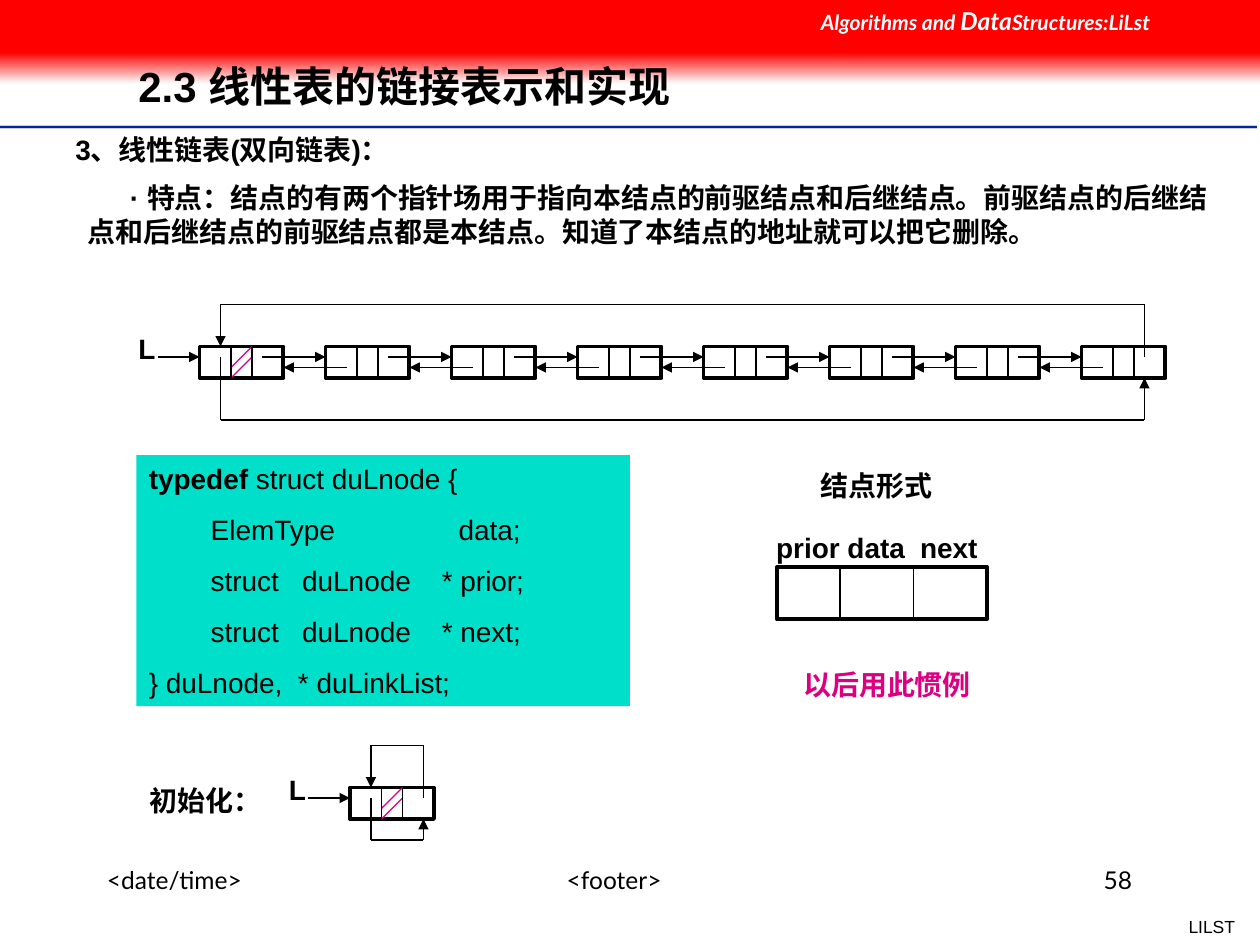
"""Build the slide on doubly linked lists."""
from dataclasses import dataclass

import lxml.etree
import pptx
import pptx.dml.color
import pptx.enum.shapes
import pptx.enum.text
import pptx.oxml.ns
import pptx.util

COLORS = {"black": "000000", "white": "FFFFFF", "red": "FF0000", "fade": "FEFEFE",
          "blue": "00279F", "grey": "CECECE", "pink": "DC0081", "teal": "00DFCA"}
ALIGN = pptx.enum.text.PP_ALIGN
ANCHOR = pptx.enum.text.MSO_ANCHOR
COLUMNS, ROWS = 120, 90

deck = pptx.Presentation()
deck.slide_width, deck.slide_height = pptx.util.Inches(10), pptx.util.Inches(7.5)
page = deck.slides.add_slide(deck.slide_layouts[6])


@dataclass(frozen=True)
class Span:
    text: str
    size: float | None = None
    bold: bool | None = None


@dataclass(frozen=True)
class Para:
    spans: tuple[Span, ...]
    tabs: tuple[float, ...] = ()
    margin: float = 0
    indent: float = 0


@dataclass(frozen=True)
class Label:
    area: tuple[float, float, float, float]
    paras: tuple[Para, ...]
    size: float = 16
    font: str = "Arial"
    color: str = "black"
    bold: bool = True
    italic: bool = False
    align: ALIGN = ALIGN.LEFT
    anchor: ANCHOR = ANCHOR.TOP
    wrap: bool = True
    line_spacing: float = 1.0


@dataclass(frozen=True)
class Node:
    column: float
    row: float
    hatched: bool = False


def across(columns: float) -> int:
    """Length of a number of grid columns."""
    return round(deck.slide_width * columns / COLUMNS)


def down(rows: float) -> int:
    """Length of a number of grid rows."""
    return round(deck.slide_height * rows / ROWS)


def color(name: str) -> pptx.dml.color.RGBColor:
    """Look up a named colour."""
    return pptx.dml.color.RGBColor.from_string(COLORS[name])


def place(left: float, top: float, width: float, height: float) -> tuple[int, int, int, int]:
    """Turn a grid area into lengths."""
    return across(left), down(top), across(width), down(height)


def plain(*lines: str) -> tuple[Para, ...]:
    """Make single-span paragraphs."""
    return tuple(Para((Span(line),)) for line in lines)


def draw_box(area: tuple[float, float, float, float], fill: str, outlined: bool = False):
    """Draw a rectangle with a flat fill."""
    box = page.shapes.add_shape(pptx.enum.shapes.MSO_SHAPE.RECTANGLE, *place(*area))
    box.shadow.inherit = False
    box.fill.solid()
    box.fill.fore_color.rgb = color(fill)
    if outlined:
        box.line.color.rgb = color("black")
        box.line.width = pptx.util.Pt(2.25)
    else:
        box.line.fill.background()
    return box


def draw_line(*points: tuple[float, float], ink: str = "black", width: float = 0.75,
              arrow: bool = False) -> None:
    """Join grid points by straight lines, with an arrowhead at the last."""
    for start, end in zip(points, points[1:]):
        line = page.shapes.add_connector(
            pptx.enum.shapes.MSO_CONNECTOR.STRAIGHT,
            across(start[0]), down(start[1]), across(end[0]), down(end[1]))
        line.line.color.rgb = color(ink)
        line.line.width = pptx.util.Pt(width)
        properties = line.element.spPr
        if arrow and end == points[-1]:
            outline = properties.find(pptx.oxml.ns.qn("a:ln"))
            lxml.etree.SubElement(outline, pptx.oxml.ns.qn("a:tailEnd"), type="triangle")
        lxml.etree.SubElement(properties, pptx.oxml.ns.qn("a:effectLst"))


def write(label: Label, box=None) -> None:
    """Write a label in a new text box or in a given shape."""
    box = box or page.shapes.add_textbox(*place(*label.area))
    frame = box.text_frame
    frame.word_wrap = label.wrap
    frame.vertical_anchor = label.anchor
    for index, item in enumerate(label.paras):
        para = frame.add_paragraph() if index else frame.paragraphs[0]
        para.alignment = label.align
        para.line_spacing = label.line_spacing
        if index:
            para.space_before = pptx.util.Pt(10)
        properties = para._p.get_or_add_pPr()
        if item.margin:
            properties.set("marL", str(across(item.margin)))
            properties.set("indent", str(across(item.indent)))
        if item.tabs:
            stops = lxml.etree.SubElement(properties, pptx.oxml.ns.qn("a:tabLst"))
            for stop in item.tabs:
                lxml.etree.SubElement(stops, pptx.oxml.ns.qn("a:tab"),
                                      pos=str(across(stop)), algn="l")
        para.font.name, para.font.size = label.font, pptx.util.Pt(label.size)
        para.font.bold, para.font.italic = label.bold, label.italic
        para.font.color.rgb = color(label.color)
        for part in item.spans:
            span = para.add_run()
            span.text = part.text
            if part.size:
                span.font.size = pptx.util.Pt(part.size)
            if part.bold is not None:
                span.font.bold = part.bold


def draw_node(node: Node) -> None:
    """Draw a three-part list node."""
    x, y = node.column, node.row
    draw_box((x, y, 8, 3), "white", outlined=True)
    if node.hatched:
        for shift in (0, 1):
            draw_line((x + 5, y + shift), (x + 3, y + shift + 2), ink="pink")
    for divider in (x + 3, x + 5):
        draw_line((divider, y), (divider, y + 3))


def draw_ring(head: Node, count: int, depth: float, exit_column: float) -> None:
    """Draw a circular doubly linked list, with its wraparound links."""
    x, y, pitch = head.column, head.row, 12
    for index in range(count):
        draw_node(Node(x + index * pitch, y, head.hatched and index == 0))
    for left in (x + index * pitch for index in range(count - 1)):
        draw_line((left + 6, y + 1), (left + pitch, y + 1), arrow=True)
        draw_line((left + pitch + 2, y + 2), (left + 8, y + 2), arrow=True)
    first, last = x + 2, x + (count - 1) * pitch + exit_column
    draw_line((last, y + 1), (last, y - 4), (first, y - 4), (first, y), arrow=True)
    draw_line((first, y + 1), (first, y + depth), (last, y + depth), (last, y + 3), arrow=True)
    draw_line((x - 4, y + 1), (x, y + 1), arrow=True)
    write(Label((x - 8, y - 2, 6, 4.4), plain("L"), align=ALIGN.CENTER))


CODE = (
    Para((Span("typedef", bold=True), Span(" struct duLnode {"))),
    Para((Span("        ElemType\tdata;"),), tabs=(29.5,)),
    Para((Span("        struct\tduLnode\t* prior;"),), tabs=(14.6, 27.9)),
    Para((Span("        struct\tduLnode\t* next;"),), tabs=(14.6, 27.9)),
    Para((Span("} duLnode,\t* duLinkList;"),), tabs=(14.2,)),
)
FEATURE = ("· 特点：结点的有两个指针场用于指向本结点的前驱结点和后继结点。前驱结点的后继结"
           "点和后继结点的前驱结点都是本结点。知道了本结点的地址就可以把它删除。")
BANNER = (Span("Algorithms and "), Span("Data", size=14), Span("Structures:LiLst"))
FOOTER = {"size": 14, "font": "Lato", "bold": False}
LABELS = (
    Label((112, 86.65, 6.8, 3.2), plain("LILST"), size=10, bold=False, align=ALIGN.RIGHT, wrap=False),
    Label((9, 81.75, 23, 6), plain("<date/time>"), **FOOTER),
    Label((41, 81.75, 35, 6), plain("<footer>"), align=ALIGN.CENTER, **FOOTER),
    Label((86, 81.75, 23, 6), plain("58"), align=ALIGN.RIGHT, **FOOTER),
    Label((77, 0, 43, 4), (Para(BANNER),), size=12, font="Lato", color="white", italic=True),
    Label((12, 4, 90.6, 8.9), plain("2.3 线性表的链接表示和实现"), size=24,
          anchor=ANCHOR.MIDDLE, line_spacing=0.9),
    Label((0, 12, 115, 4.4), (Para((Span("3、线性链表(双向链表)："),), margin=6),)),
    Label((0, 16.6, 117.6, 7.7), (Para((Span(FEATURE),), margin=7.2, indent=4),)),
    Label((13.1, 74, 13, 4.4), plain("初始化："), align=ALIGN.CENTER, wrap=False),
    Label((74, 44, 19, 4.4), plain("结点形式"), align=ALIGN.CENTER),
    Label((72.75, 49.9, 23, 4.4), (Para((Span("prior data\tnext"),), tabs=(13.7,)),)),
    Label((75, 63, 19, 4.4), plain("以后用此惯例"), color="pink", align=ALIGN.CENTER),
)


def main() -> None:
    """Draw the slide and save it."""
    for height, ink, width in ((12.1, "grey", 2), (12.1, "blue", 1), (12.35, "white", 1)):
        draw_line((0, height), (119.75, height), ink=ink, width=width)
    fade = draw_box((0, 5, COLUMNS, 3), "red")
    fade.fill.gradient()
    fade.fill.gradient_angle = 270
    for stop, name in zip(fade.fill.gradient_stops, ("red", "fade")):
        stop.color.rgb = color(name)
    draw_box((0, 0, COLUMNS, 5), "red")
    for label in LABELS:
        write(label)
    draw_ring(Node(19, 33, hatched=True), count=8, depth=7, exit_column=6)
    draw_ring(Node(33.33, 75, hatched=True), count=1, depth=5, exit_column=7)
    code = Label((13, 43.35, 47, 23.9), CODE, bold=False)
    write(code, draw_box(code.area, "teal"))
    draw_box((74, 54, 20, 5), "white", outlined=True)
    for divider in (80, 87):
        draw_line((divider, 54), (divider, 59))
    deck.save("out.pptx")


if __name__ == "__main__":
    main()
